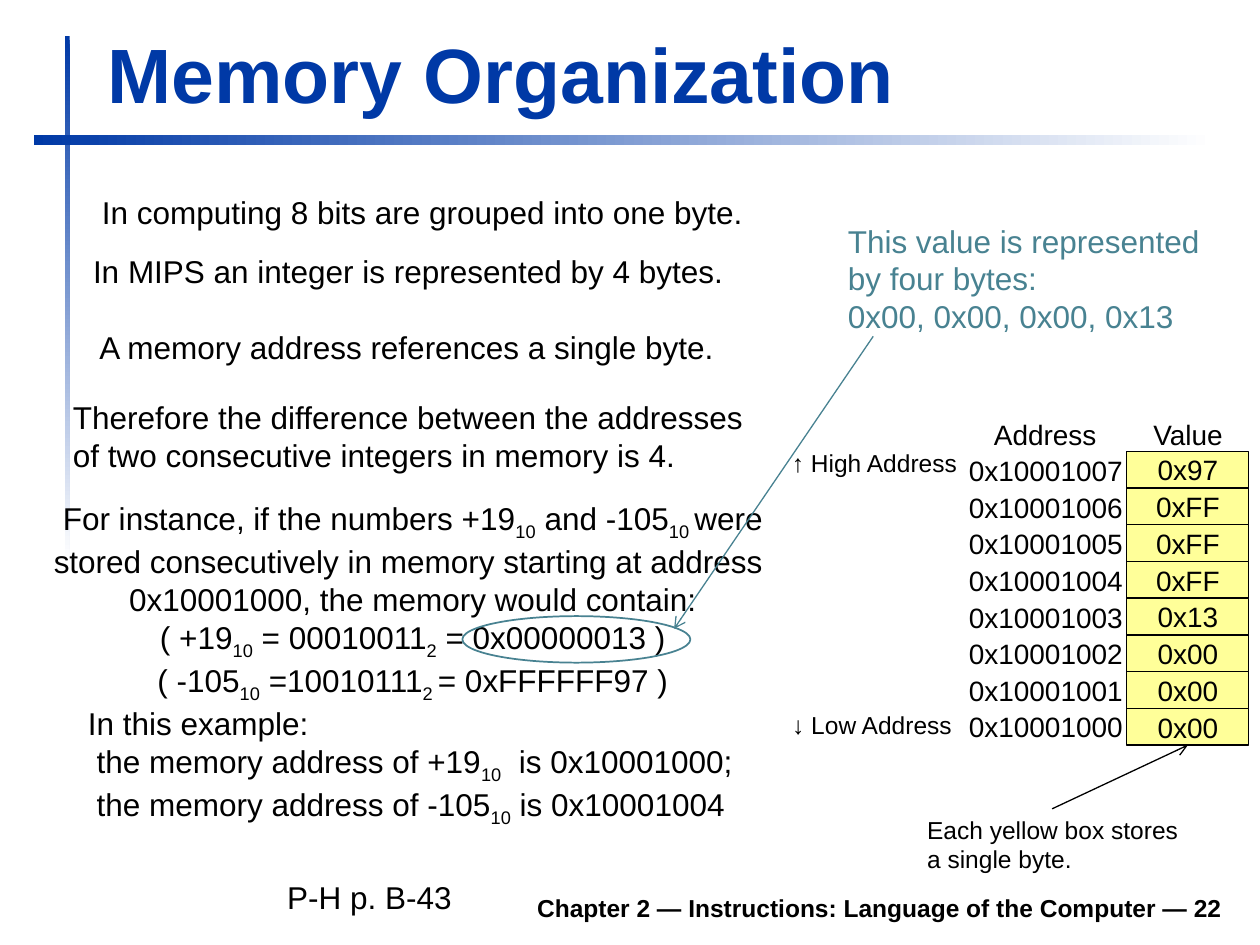
from lxml.etree import SubElement
from pptx import Presentation
from pptx.dml.color import RGBColor
from pptx.enum.shapes import MSO_CONNECTOR, MSO_SHAPE
from pptx.enum.text import MSO_ANCHOR, MSO_AUTO_SIZE, PP_ALIGN
from pptx.oxml.ns import qn
from pptx.util import Pt

BLUE = RGBColor(0x00, 0x39, 0xA6)
TEAL = RGBColor(0x48, 0x82, 0x91)
YELLOW = RGBColor(0xFF, 0xFF, 0x99)
BLACK = RGBColor(0x00, 0x00, 0x00)
WHITE = RGBColor(0xFF, 0xFF, 0xFF)
FONT = "Arial"

BYTES = ["0x97", "0xFF", "0xFF", "0xFF", "0x13", "0x00", "0x00", "0x00"]
FIRST_ADDRESS = 0x10001000

# Statements on the left: left, top, width, height, lines
STATEMENTS = [
    (51.1, 106.6, 386, 28.8, ["In computing 8 bits are grouped into one byte."]),
    (46.1, 140.4, 380, 28.8, ["In MIPS an integer is represented by 4 bytes."]),
    (49.7, 183.6, 372, 28.8, ["A memory address references a single byte."]),
    (34.6, 223.9, 403, 50.4, ["Therefore the difference between the addresses",
                              "of two consecutive integers in memory is 4."]),
    (43.2, 398.9, 388, 77.8, ["In this example:",
                              " the memory address of +19|10|  is 0x10001000;",
                              " the memory address of -105|10| is 0x10001004"]),
]
INSTANCE = [
    "For instance, if the numbers +19|10| and -105|10 |were",
    "stored consecutively in memory starting at address ",
    "0x10001000, the memory would contain:",
    "( +19|10| = 00010011|2| = 0x00000013 )",
    "( -105|10| =10010111|2 |= 0xFFFFFF97 )",
]


def write_lines(frame, lines, size, color=BLACK, align=PP_ALIGN.LEFT, bold=False):
    """Fill a text frame; text between bars is subscript."""
    for index, line in enumerate(lines):
        para = frame.paragraphs[0] if index == 0 else frame.add_paragraph()
        para.alignment = align
        para.font.name = FONT
        para.font.size = Pt(size)
        para.font.bold = bold
        para.font.color.rgb = color
        for position, part in enumerate(line.split("|")):
            span = para.add_run()
            span.text = part
            if position % 2:
                span._r.get_or_add_rPr().set("baseline", "-25000")


def add_text(page, left, top, width, height, lines, size=18, color=BLACK,
             align=PP_ALIGN.LEFT, anchor=MSO_ANCHOR.MIDDLE, bold=False):
    """Add a text box; centred labels stay on one line, other text wraps."""
    box = page.shapes.add_textbox(Pt(left), Pt(top), Pt(width), Pt(height))
    frame = box.text_frame
    frame.word_wrap = align != PP_ALIGN.CENTER
    frame.auto_size = MSO_AUTO_SIZE.NONE
    frame.vertical_anchor = anchor
    write_lines(frame, lines, size, color, align, bold)


def add_bar(page, left, top, width, height, start, end, angle):
    bar = page.shapes.add_shape(MSO_SHAPE.RECTANGLE, Pt(left), Pt(top), Pt(width), Pt(height))
    bar.shadow.inherit = False
    bar.line.fill.background()
    bar.fill.gradient()
    bar.fill.gradient_angle = angle
    for stop, color in zip(bar.fill.gradient_stops, (start, end)):
        stop.color.rgb = color


def add_byte(page, left, top, width, height, value):
    byte = page.shapes.add_shape(MSO_SHAPE.RECTANGLE, Pt(left), Pt(top), Pt(width), Pt(height))
    byte.shadow.inherit = False
    byte.fill.solid()
    byte.fill.fore_color.rgb = YELLOW
    byte.line.color.rgb = BLACK
    byte.line.width = Pt(0.75)
    byte.text_frame.word_wrap = False
    byte.text_frame.vertical_anchor = MSO_ANCHOR.MIDDLE
    write_lines(byte.text_frame, [value], 16, align=PP_ALIGN.CENTER)
    return byte


def add_ring(page, left, top, width, height):
    ring = page.shapes.add_shape(MSO_SHAPE.OVAL, Pt(left), Pt(top), Pt(width), Pt(height))
    ring.shadow.inherit = False
    ring.fill.background()
    ring.line.color.rgb = TEAL
    ring.line.width = Pt(1)


def add_arrow(page, start, end, color):
    arrow = page.shapes.add_connector(MSO_CONNECTOR.STRAIGHT, *map(Pt, start + end))
    arrow.line.color.rgb = color
    arrow.line.width = Pt(0.75)
    SubElement(arrow.line._get_or_add_ln(), qn("a:tailEnd"), type="arrow")
    SubElement(arrow._element.spPr, qn("a:effectLst"))
    return arrow


def add_title(page, text):
    title = page.shapes.title
    title.left, title.top, title.width, title.height = Pt(54), Pt(11.5), Pt(650), Pt(59.8)
    title.text_frame.vertical_anchor = MSO_ANCHOR.BOTTOM
    write_lines(title.text_frame, [text], 44, BLUE, bold=True)


def add_memory(page):
    """Draw the address and value columns; return the lowest byte."""
    add_text(page, 560.9, 234.7, 72.7, 26.6, ["Address"], 16, align=PP_ALIGN.CENTER)
    add_text(page, 651.6, 234.7, 54.7, 26.6, ["Value"], 16, align=PP_ALIGN.CENTER)
    for row, value in enumerate(BYTES):
        address = FIRST_ADDRESS + len(BYTES) - 1 - row
        add_text(page, 546.5, 255.6 + 20.9 * row, 102.2, 26.6, [f"0x{address:08X}"], 16,
                 align=PP_ALIGN.CENTER)
        byte = add_byte(page, 643.9, 257.9 + 21 * row, 69.8, 20.9, value)
    add_text(page, 445, 252, 109.4, 24.5, ["↑ High Address"], 14, align=PP_ALIGN.CENTER)
    add_text(page, 445, 401.8, 106.6, 24.5, ["↓ Low Address"], 14, align=PP_ALIGN.CENTER)
    return byte


def main():
    deck = Presentation()
    deck.slide_width, deck.slide_height = Pt(720), Pt(540)
    page = deck.slides.add_slide(deck.slide_layouts[5])

    # Frame: gradient bars, footer and title
    add_bar(page, 36.9, 20.4, 2.9, 300.2, BLUE, WHITE, 270)
    add_bar(page, 19.6, 77, 674.6, 5.8, WHITE, BLUE, 180)
    add_text(page, 133.2, 502.6, 572.4, 28.1,
             ["Chapter 2 — Instructions: Language of the Computer — 22"], 14,
             align=PP_ALIGN.RIGHT, anchor=MSO_ANCHOR.BOTTOM, bold=True)
    add_title(page, "Memory Organization")

    # Explanation
    for left, top, width, height, lines in STATEMENTS:
        add_text(page, left, top, width, height, lines)
    add_text(page, 21.8, 281.5, 428.1, 124.6, INSTANCE, align=PP_ALIGN.CENTER)
    add_text(page, 157, 498.2, 114, 28.8, ["P-H p. B-43"], anchor=MSO_ANCHOR.TOP)

    # Memory columns with their note
    lowest_byte = add_memory(page)
    add_text(page, 522.7, 462.2, 164, 41, ["Each yellow box stores", "a single byte."], 14,
             anchor=MSO_ANCHOR.TOP)
    note_arrow = add_arrow(page, (601.2, 462.2), (678.8, 425.8), BLACK)
    note_arrow.end_connect(lowest_byte, 2)

    # Teal callout
    add_text(page, 477.4, 123.1, 221, 72,
             ["This value is represented", "by four bytes:", "0x00, 0x00, 0x00, 0x13"],
             color=TEAL, anchor=MSO_ANCHOR.TOP)
    add_ring(page, 264.2, 352.1, 130.3, 26.6)
    add_arrow(page, (499, 192.2), (385.2, 359.3), TEAL)

    deck.save("out.pptx")


if __name__ == "__main__":
    main()
